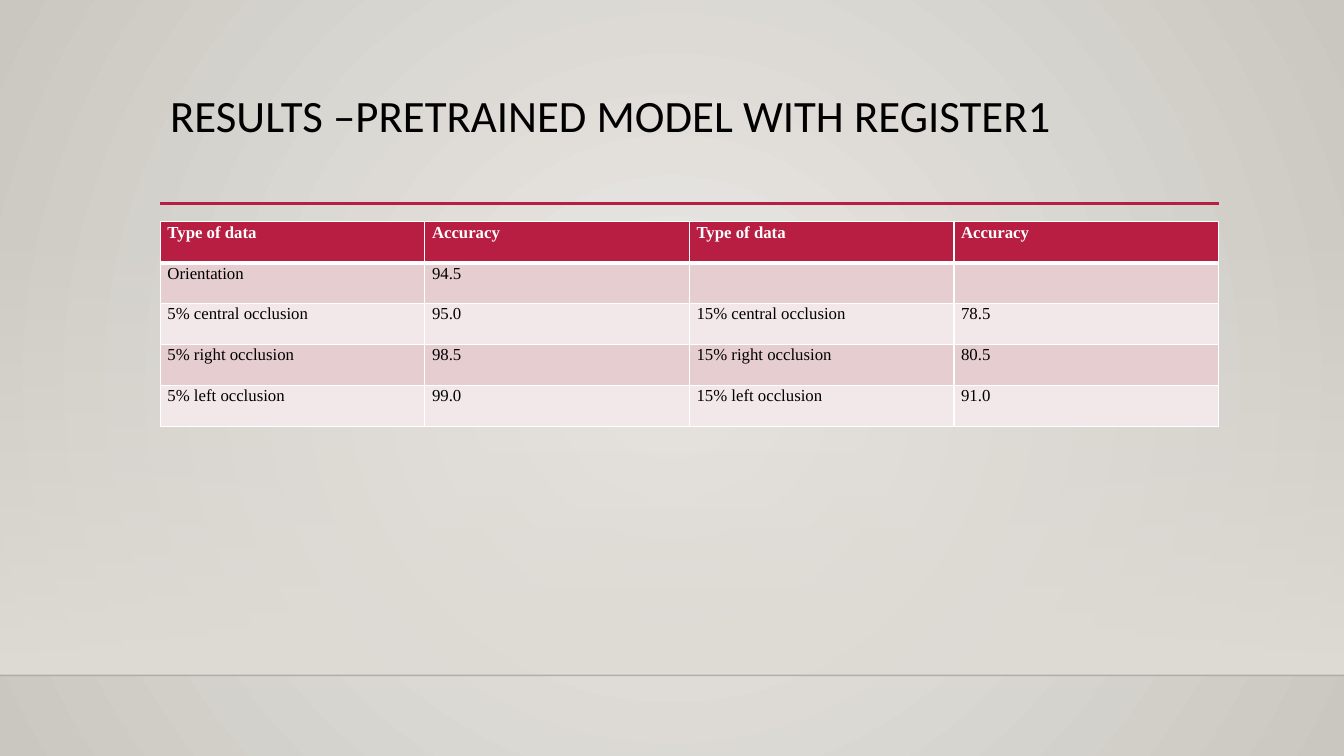
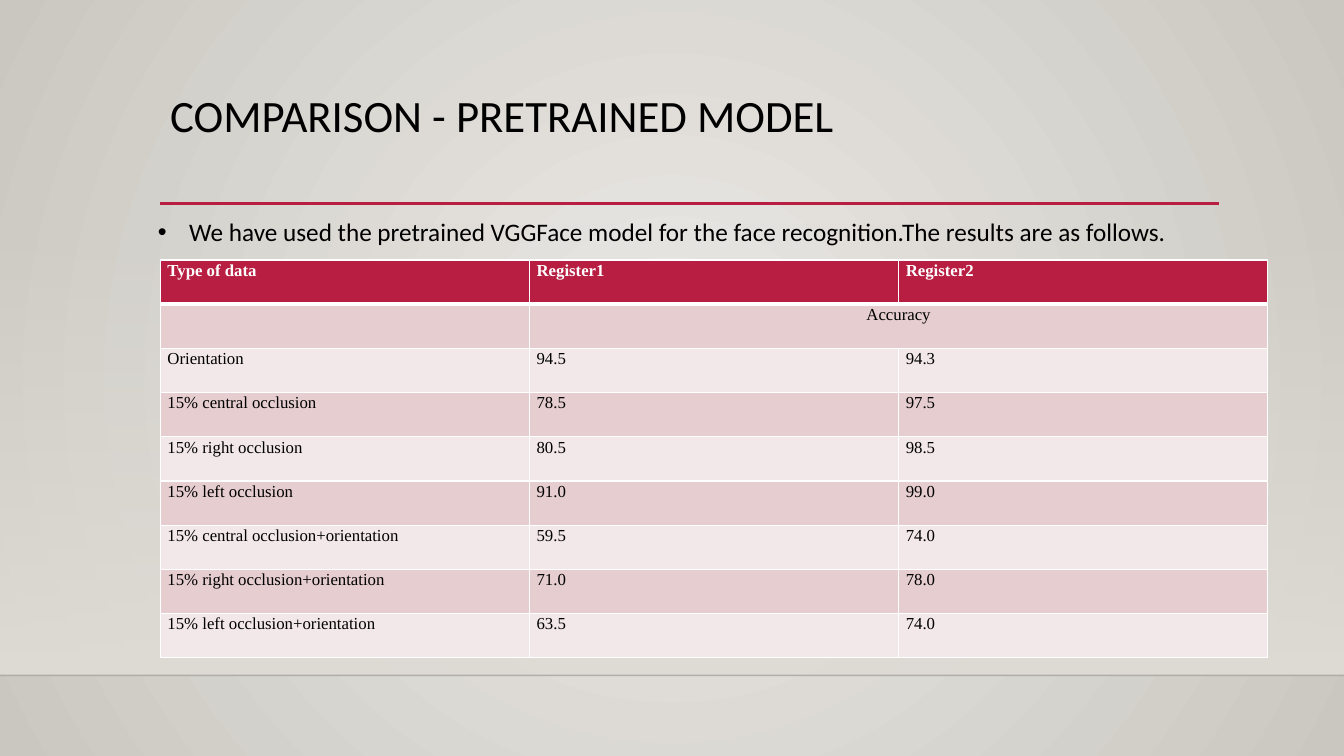
"""Builds two slides of recognition results, each with a title and a table."""
from dataclasses import dataclass

from lxml import etree
from pptx import Presentation
from pptx import util as u
from pptx.dml.color import RGBColor
from pptx.enum import shapes, text
from pptx.oxml.ns import qn

SLIDES = [
    {
        "title": "RESULTS –PRETRAINED MODEL WITH REGISTER1",
        "table_box": (4.04, 5.59, 26.67, 5.16),
        "rows": [
            ("Type of data", "Accuracy", "Type of data", "Accuracy"),
            ("Orientation", "94.5", "", ""),
            ("5% central occlusion", "95.0", "15% central occlusion", "78.5"),
            ("5% right occlusion", "98.5", "15% right occlusion", "80.5"),
            ("5% left occlusion", "99.0", "15% left occlusion", "91.0"),
        ],
    },
    {
        "title": "COMPARISON - PRETRAINED MODEL",
        "table_box": (4.04, 6.55, 27.91, 10.03),
        "bullet": "We have used the pretrained VGGFace model for the face "
                  "recognition.The results are as follows.",
        "rows": [
            ("Type of data", "Register1", "Register2"),
            ("", "Accuracy", None),
            ("Orientation", "94.5", "94.3"),
            ("15% central occlusion", "78.5", "97.5"),
            ("15% right occlusion", "80.5", "98.5"),
            ("15% left occlusion", "91.0", "99.0"),
            ("15% central occlusion+orientation", "59.5", "74.0"),
            ("15% right occlusion+orientation", "71.0", "78.0"),
            ("15% left occlusion+orientation", "63.5", "74.0"),
        ],
    },
]

WIDTH, HEIGHT = 33.87, 19.05
TITLE_BOX = (4.04, 2.24, 26.67, 2.92)
BULLET_BOX = (3.73, 5.33, 26.37, 1.02)
BAND_TOP, BAND_BOTTOM = 5.61, 17.02
RULE_LEFT, RULE_RIGHT, RULE_Y = 4.04, 30.73, 5.13


@dataclass(frozen=True)
class Theme:
    """Colours, fonts and type sizes."""
    ink: str = "000000"
    white: str = "FFFFFF"
    accent: str = "B71E42"
    stripes: tuple = ("F3E8E9", "E6CDCF")
    backdrop: tuple = ("ECEAE7", "CAC7C1")
    band: str = "DFDBD5"
    sans: str = "Calibri"
    serif: str = "Times New Roman"
    title_size: int = 32
    bullet_size: int = 18
    cell_size: int = 12


THEME = Theme()


def cm(values):
    """Turn centimetre numbers into lengths."""
    return [u.Cm(value) for value in values]


def add_xml(parent, tag, **attributes):
    """Append a drawing element with the given attributes."""
    child = etree.SubElement(parent, qn(tag))
    for name, value in attributes.items():
        child.set(name, str(value))
    return child


def set_alpha(colour, percent):
    """Set the opacity of a colour element."""
    add_xml(colour, "a:alpha", val=percent * 1000)


def fill_gradient(fill, colours):
    """Give a fill two gradient stops."""
    fill.gradient()
    for stop, colour in zip(fill.gradient_stops, colours):
        stop.color.rgb = RGBColor.from_string(colour)


def write(frame, content, *, size, font, colour=THEME.ink, bold=False,
          align=text.PP_ALIGN.LEFT, spacing=1.0, bullet=None, indent=0.79):
    """Write one formatted paragraph into a text frame."""
    frame.word_wrap = True
    para = frame.paragraphs[0]
    para.alignment, para.line_spacing = align, spacing
    if bullet:
        props = para._p.get_or_add_pPr()
        props.set("marL", str(u.Cm(indent)))
        props.set("indent", str(-u.Cm(indent)))
        add_xml(props, "a:buFont", typeface="Arial")
        add_xml(props, "a:buChar", char=bullet)
    para.font.size = u.Pt(size)
    if content:
        span = para.add_run()
        span.text = content
        span.font.size, span.font.name, span.font.bold = u.Pt(size), font, bold
        span.font.color.rgb = RGBColor.from_string(colour)


def add_text(page, box, content, **style):
    """Add a text box."""
    write(page.shapes.add_textbox(*cm(box)).text_frame, content, **style)


def add_line(page, left, right, y, colour, width, opacity=100):
    """Draw a horizontal line without a shadow."""
    line = page.shapes.add_connector(
        shapes.MSO_CONNECTOR.STRAIGHT, *cm((left, y, right, y)))
    line.line.color.rgb = RGBColor.from_string(colour)
    line.line.width = u.Pt(width)
    if opacity < 100:
        set_alpha(line.element.xpath(".//a:ln//a:srgbClr")[0], opacity)
    add_xml(line.element.spPr, "a:effectLst")


def paint_backdrop(master):
    """Set the radial background that every slide inherits."""
    fill_gradient(master.background.fill, THEME.backdrop)
    gradient = master.element.xpath(".//p:bg//a:gradFill")[0]
    gradient.remove(gradient.find(qn("a:lin")))
    radial = add_xml(gradient, "a:path", path="circle")
    add_xml(radial, "a:fillToRect", l=50000, t=50000, r=50000, b=50000)


def add_frame(page, title):
    """Add the band, the lines and the title that slides share."""
    band = page.shapes.add_shape(
        shapes.MSO_SHAPE.RECTANGLE,
        *cm((0, BAND_TOP, WIDTH, BAND_BOTTOM - BAND_TOP)))
    band.shadow.inherit = False
    band.line.fill.background()
    fill_gradient(band.fill, (THEME.band, THEME.band))
    band.fill.gradient_angle = 270
    set_alpha(band.element.xpath(".//a:gs/a:srgbClr")[0], 0)
    add_line(page, 0, WIDTH, BAND_BOTTOM, THEME.ink, 1, opacity=20)
    add_line(page, RULE_LEFT, RULE_RIGHT, RULE_Y, THEME.accent, 2.5)
    add_text(page, TITLE_BOX, title, size=THEME.title_size, font=THEME.sans,
             spacing=0.9)


def set_borders(cell, top, bottom):
    """Draw white cell borders with the given top and bottom widths."""
    props = cell._tc.get_or_add_tcPr()
    for side, width in (("L", 1), ("R", 1), ("T", top), ("B", bottom)):
        border = add_xml(props, f"a:ln{side}", w=u.Pt(width))
        add_xml(add_xml(border, "a:solidFill"), "a:srgbClr", val=THEME.white)


def add_results(page, box, rows):
    """Add a striped table; None joins a cell to the one on its left."""
    table = page.shapes.add_table(len(rows), len(rows[0]), *cm(box)).table
    table.horz_banding = False
    for r, row in enumerate(rows):
        header = r == 0
        for c, content in enumerate(row):
            cell = table.cell(r, c)
            cell.margin_left = cell.margin_right = u.Cm(0.18)
            cell.margin_top = cell.margin_bottom = 0
            set_borders(cell, 3 if r == 1 else 1, 3 if header else 1)
            cell.fill.solid()
            cell.fill.fore_color.rgb = RGBColor.from_string(
                THEME.accent if header else THEME.stripes[r % 2])
            if content is None:
                table.cell(r, c - 1).merge(cell)
                continue
            joined = None in row[c + 1:c + 2]
            write(cell.text_frame, content, size=THEME.cell_size,
                  font=THEME.serif, bold=header, spacing=1.07,
                  colour=THEME.white if header else THEME.ink,
                  align=text.PP_ALIGN.CENTER if joined else text.PP_ALIGN.LEFT)


def main():
    """Build and save the deck."""
    deck = Presentation()
    deck.slide_width, deck.slide_height = cm((WIDTH, HEIGHT))
    paint_backdrop(deck.slide_master)
    for content in SLIDES:
        page = deck.slides.add_slide(deck.slide_layouts[6])
        add_frame(page, content["title"])
        add_results(page, content["table_box"], content["rows"])
        if "bullet" in content:
            add_text(page, BULLET_BOX, content["bullet"], bullet="•",
                     size=THEME.bullet_size, font=THEME.sans)
    deck.save("out.pptx")


if __name__ == "__main__":
    main()
